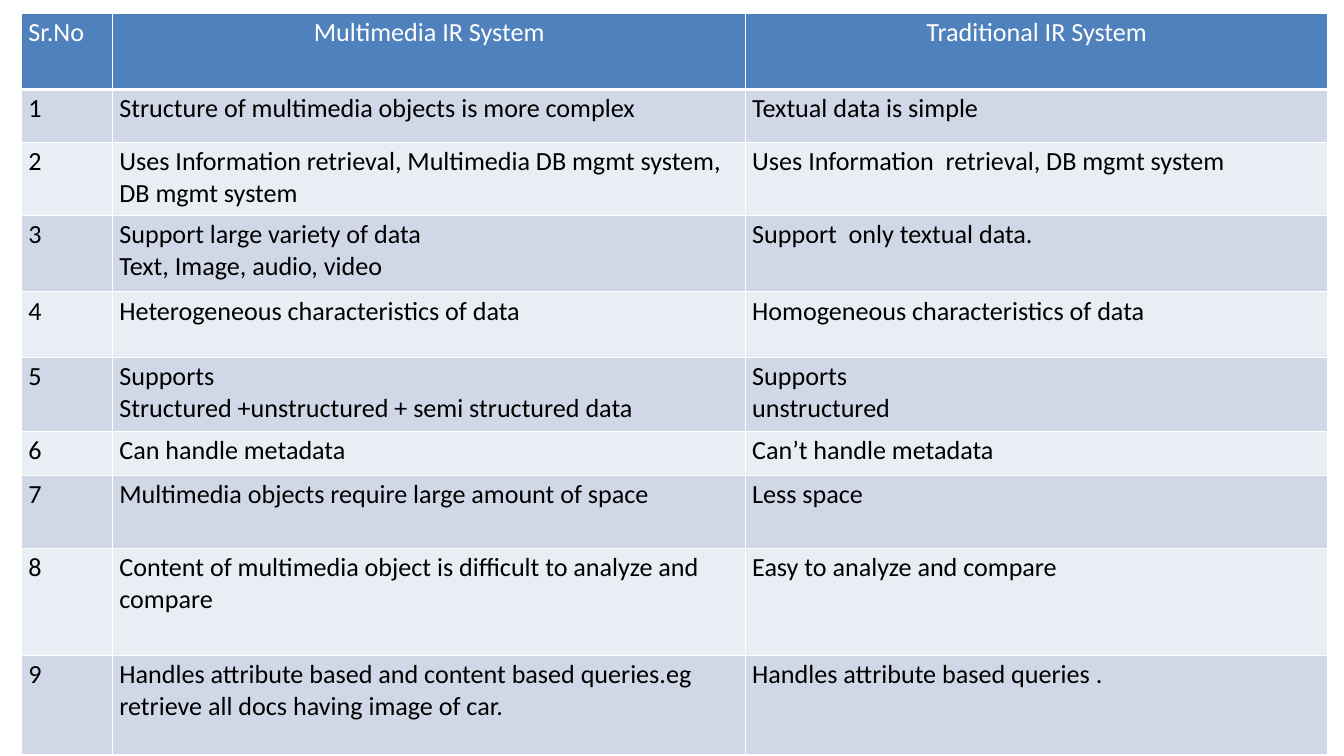
from lxml.etree import SubElement
from pptx import Presentation
from pptx.dml.color import RGBColor
from pptx.enum.text import PP_ALIGN as Align
from pptx.oxml.ns import qn
from pptx.util import Pt

PX = 9525
COLS = [130, 904, 832]
ROWS = [109, 75, 105, 109, 94, 105, 63, 105, 152, 142]
HEADER = ("Sr.No", "Multimedia IR System", "Traditional IR System")
COMPARISONS = [
    ("Structure of multimedia objects is more complex", "Textual data is simple"),
    ("Uses Information retrieval, Multimedia DB mgmt system, DB mgmt system",
     "Uses Information  retrieval, DB mgmt system"),
    ("Support large variety of data\nText, Image, audio, video",
     "Support  only textual data."),
    ("Heterogeneous characteristics of data", "Homogeneous characteristics of data"),
    ("Supports\nStructured +unstructured + semi structured data",
     "Supports\nunstructured"),
    ("Can handle metadata", "Can’t handle metadata"),
    ("Multimedia objects require large amount of space", "Less space"),
    ("Content of multimedia object is difficult to analyze and compare",
     "Easy to analyze and compare"),
    ("Handles attribute based and content based queries.eg retrieve all docs "
     "having image of car.", "Handles attribute based queries ."),
]


def rgb(value):
    return RGBColor.from_string(value)


def add_border(cell, side, width):
    ln = SubElement(cell._tc.get_or_add_tcPr(), qn(f"a:ln{side}"), w=str(Pt(width)))
    fill = SubElement(ln, qn("a:solidFill"))
    SubElement(fill, qn("a:srgbClr"), val="FFFFFF")


prs = Presentation()
prs.slide_width = 1920 * PX
prs.slide_height = 1080 * PX
s = prs.slides.add_slide(prs.slide_layouts[6])

frame = s.shapes.add_table(len(ROWS), len(COLS), 31 * PX, 19 * PX,
                           sum(COLS) * PX, sum(ROWS) * PX)
table = frame.table
for column, width in zip(table.columns, COLS):
    column.width = width * PX
for row, height in zip(table.rows, ROWS):
    row.height = height * PX

records = [HEADER] + [(str(n), *pair) for n, pair in enumerate(COMPARISONS, 1)]
for i, record in enumerate(records):
    is_header = i == 0
    shade = "4F81BD" if is_header else ("E9EDF4", "D0D8E8")[i % 2]
    for j, text in enumerate(record):
        cell = table.cell(i, j)
        for side in "LRTB":
            add_border(cell, side, 3 if is_header and side == "B" else 1)
        cell.fill.solid()
        cell.fill.fore_color.rgb = rgb(shade)
        tf = cell.text_frame
        tf.text = text
        for p in tf.paragraphs:
            p.alignment = Align.CENTER if is_header and j else Align.LEFT
            p.font.name = "Calibri"
            p.font.size = Pt(28)
            p.font.bold = False
            p.font.color.rgb = rgb("FFFFFF" if is_header else "000000")

prs.save("out.pptx")
